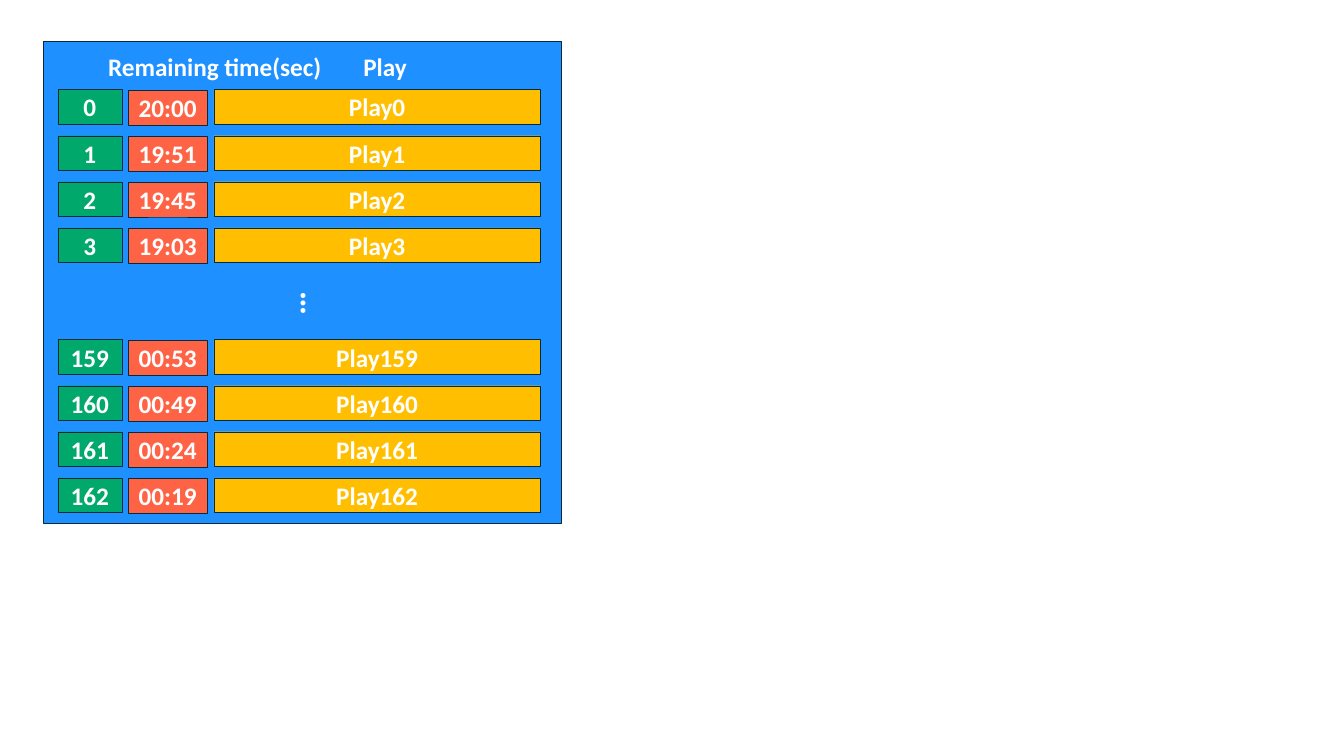
from pptx import Presentation
from pptx.dml.color import RGBColor
from pptx.enum.shapes import MSO_SHAPE
from pptx.enum.text import MSO_ANCHOR, PP_ALIGN
from pptx.util import Cm, Pt

COLORS = {"panel": "1E90FF", "number": "00A86B", "time": "FF6346",
          "play": "FFBF00", "line": "092A39", "text": "FFFFFF"}
FRAME = {"margin_left": 0, "margin_right": 0, "margin_top": 0, "margin_bottom": 0,
         "vertical_anchor": MSO_ANCHOR.MIDDLE, "word_wrap": True}
FONT = {"name": "Calibri", "bold": True}

ROW_HEIGHT = 0.87
ROW_PITCH = 1.16
# colour name: left, width, drop below the row top
COLUMNS = {"number": (0.37, 1.61, 0), "time": (2.14, 1.99, 0.02), "play": (4.3, 8.23, 0)}
FIRST_PLAYS = [(0, "20:00"), (1, "19:51"), (2, "19:45"), (3, "19:03")]
LAST_PLAYS = [(159, "00:53"), (160, "00:49"), (161, "00:24"), (162, "00:19")]


def color(name):
    return RGBColor.from_string(COLORS[name])


def write(s, text, size=18):
    tf = s.text_frame
    for key, value in FRAME.items():
        setattr(tf, key, value)
    p = tf.paragraphs[0]
    p.alignment = PP_ALIGN.CENTER
    r = p.add_run()
    r.text = text
    for key, value in {**FONT, "size": Pt(size)}.items():
        setattr(r.font, key, value)
    r.font.color.rgb = color("text")


def add_box(shapes, box, fill, text=""):
    s = shapes.add_shape(MSO_SHAPE.RECTANGLE, *map(Cm, box))
    s.shadow.inherit = False
    s.fill.solid()
    s.fill.fore_color.rgb = color(fill)
    s.line.color.rgb = color("line")
    s.line.width = Pt(0.25)
    if text:
        write(s, text)


def add_label(shapes, box, text, size=18):
    s = shapes.add_textbox(*map(Cm, box))
    write(s, text, size)
    return s


def add_rows(shapes, left, top, plays):
    for i, (number, time) in enumerate(plays):
        texts = {"number": str(number), "time": time, "play": f"Play{number}"}
        for name, (x, width, drop) in COLUMNS.items():
            box = (left + x, top + i * ROW_PITCH + drop, width, ROW_HEIGHT)
            add_box(shapes, box, name, texts[name])


def add_play_list(slide, left, top, width, height):
    shapes = slide.shapes.add_group_shape().shapes
    add_box(shapes, (left, top, width, height), "panel")
    for x, text in ((1.25, "Remaining time(sec)"), (5.54, "Play")):
        add_label(shapes, (left + x, top + 0.02, 6.15, 1.22), text)
    add_rows(shapes, left, top + 1.22, FIRST_PLAYS)
    dots = add_label(shapes, (left + 4.8, top + 6, 4.06, 1.22), "…", 24)
    dots.element.txBody.bodyPr.set("vert", "vert")
    add_rows(shapes, left, top + 7.52, LAST_PLAYS)


def main():
    prs = Presentation()
    prs.slide_width, prs.slide_height = Cm(33.87), Cm(19.05)
    slide = prs.slides.add_slide(prs.slide_layouts[6])
    add_play_list(slide, 1.09, 1.04, 13.06, 12.14)
    prs.save("out.pptx")


if __name__ == "__main__":
    main()
